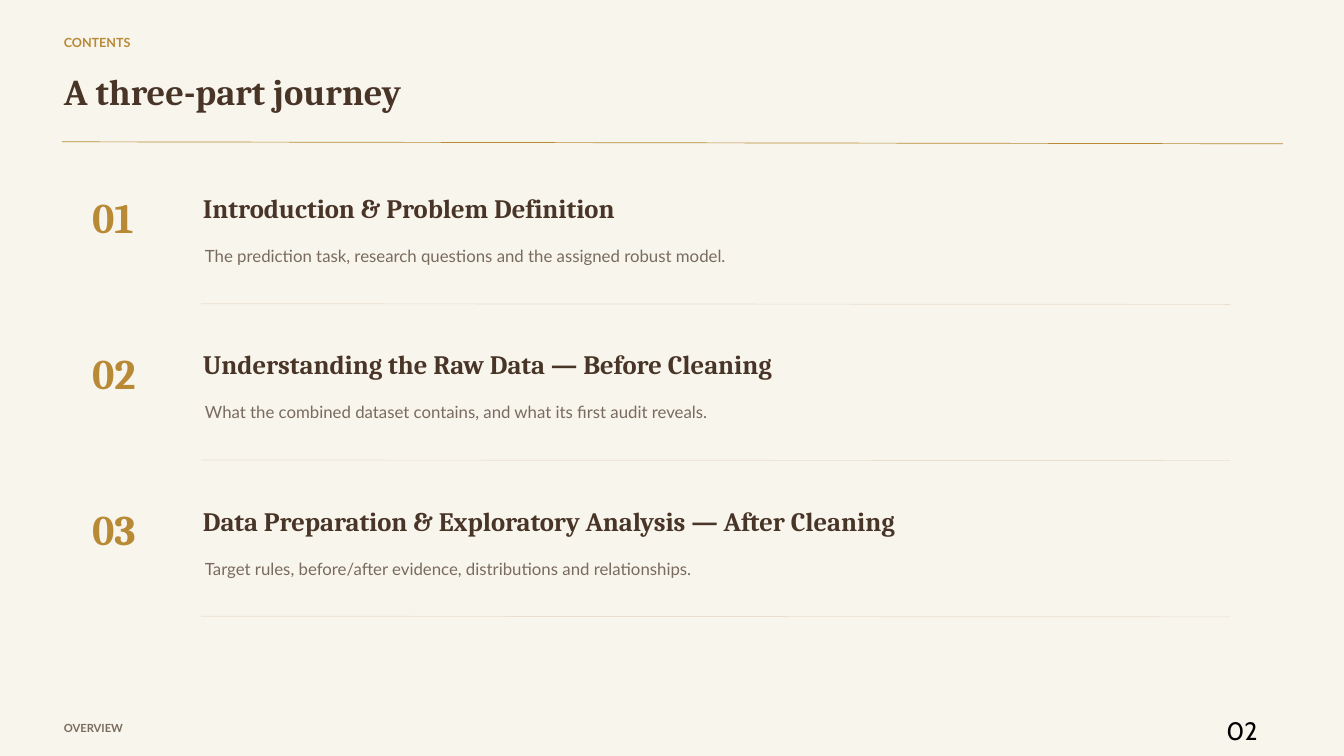
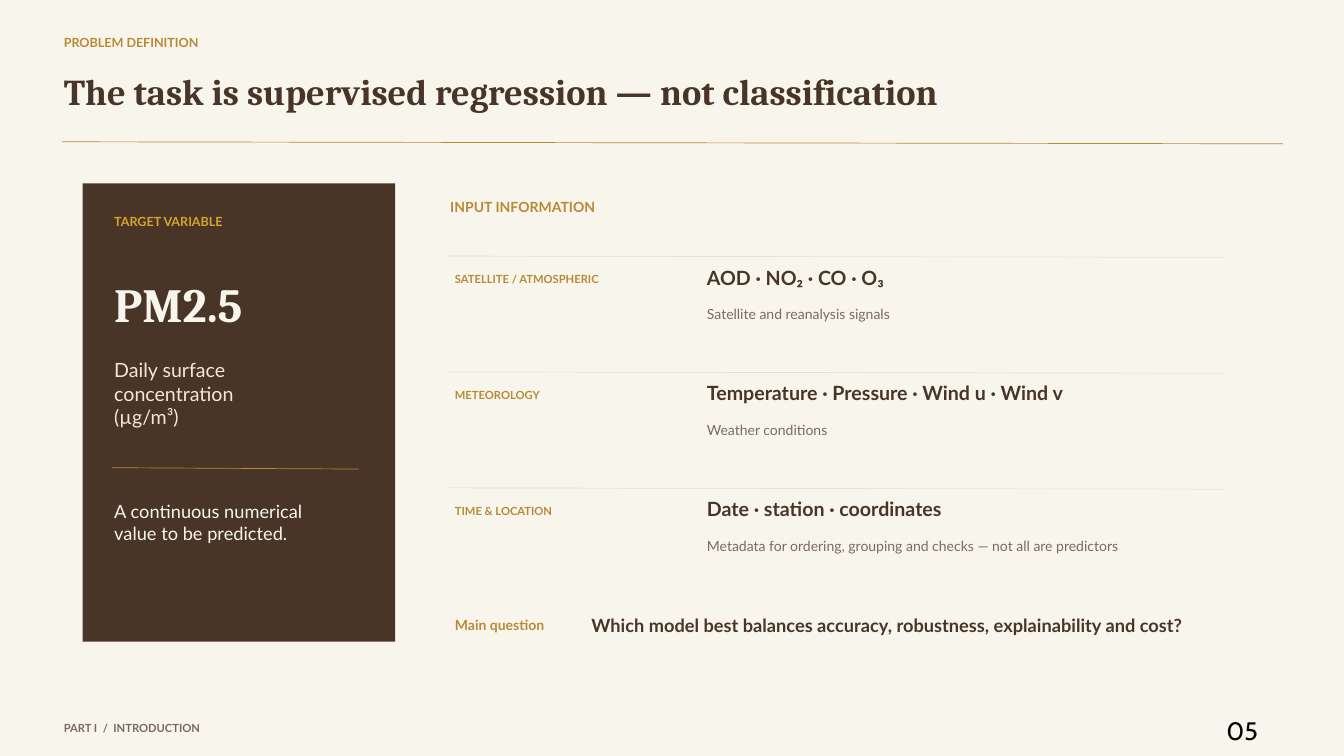
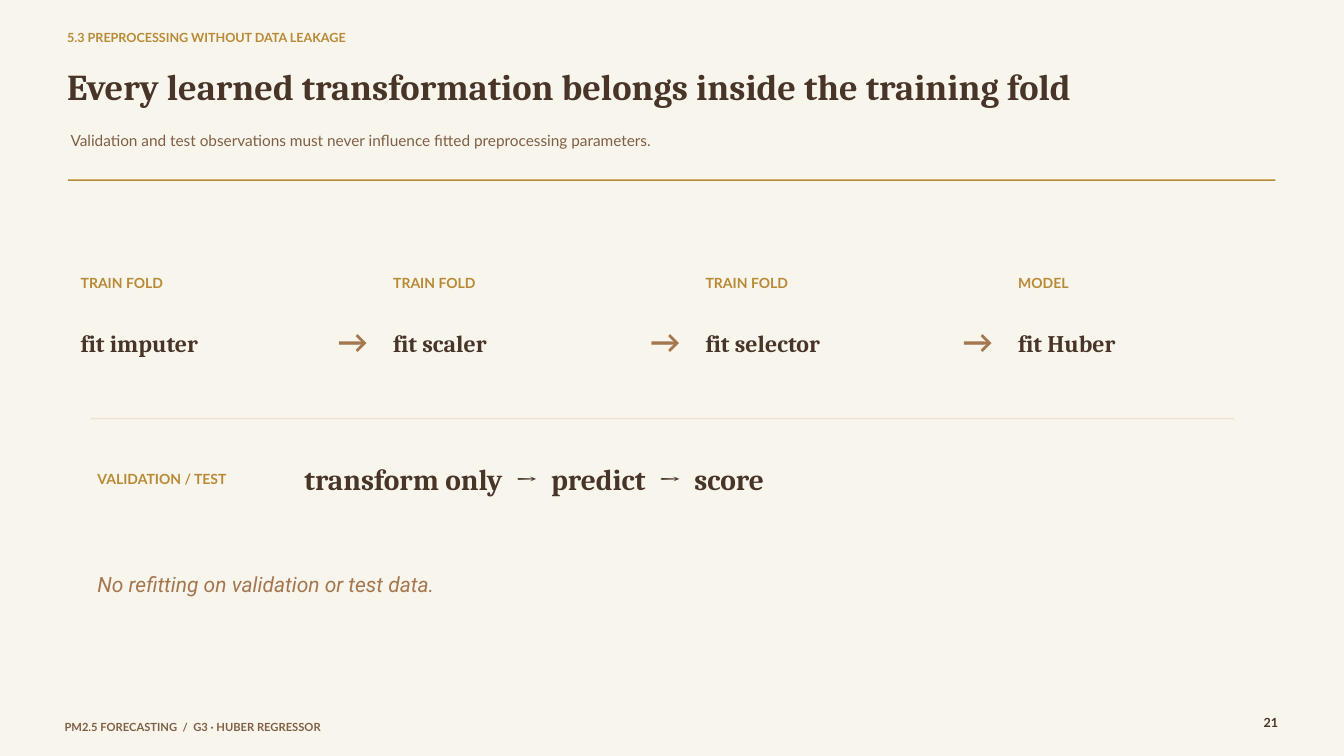
from dataclasses import dataclass
from pptx import Presentation
from pptx import util as u
from pptx.dml.color import RGBColor
from pptx.enum import shapes, text
from pptx.oxml.ns import qn
from lxml import etree


@dataclass(frozen=True)
class Style:
    size: float
    color: str
    font: str = "Lato"
    bold: bool = False
    italic: bool = False


class Theme:
    cream, brown, gold = "F8F5ED", "493528", "B88A36"
    grey, umber, copper = "796B5E", "806044", "A4774F"
    rule, divider = "E9DFCF", "EDE3D2"
    serif = "Cambria"
    leading = 1.2
    hairline = 0.75

    kicker = Style(13.5, gold, bold=True)
    title = Style(39, brown, serif, True)
    footer = Style(12, grey, bold=True)
    page = Style(27, "000000", "Cabin")
    label = Style(15, gold, bold=True)

    part_number = Style(45, gold, serif, True)
    part_title = Style(28.5, brown, serif, True)
    part_note = Style(18, grey)

    target_label = Style(13.5, "D6A52A", bold=True)
    target = Style(51, cream, serif, True)
    target_unit = Style(21, "F1E8D8")
    target_note = Style(19.5, cream)
    input_label = Style(12, gold, bold=True)
    input_name = Style(21, brown, bold=True)
    input_note = Style(15, grey)
    question = Style(19.5, brown, bold=True)

    subtitle = Style(16.5, umber)
    fold_footer = Style(12, umber, bold=True)
    fold_page = Style(13.5, brown, bold=True)
    step = Style(25.5, brown, serif, True)
    arrow = Style(33, copper, bold=True)
    flow = Style(31.5, brown, serif, True)
    warning = Style(22.5, copper, "Roboto", italic=True)


PARTS = [
    ("Introduction & Problem Definition",
     "The prediction task, research questions and the assigned robust model."),
    ("Understanding the Raw Data — Before Cleaning",
     "What the combined dataset contains, and what its first audit reveals."),
    ("Data Preparation & Exploratory Analysis — After Cleaning",
     "Target rules, before/after evidence, distributions and relationships."),
]
INPUTS = [
    ("SATELLITE / ATMOSPHERIC", "AOD · NO₂ · CO · O₃", "Satellite and reanalysis signals"),
    ("METEOROLOGY", "Temperature · Pressure · Wind u · Wind v", "Weather conditions"),
    ("TIME & LOCATION", "Date · station · coordinates",
     "Metadata for ordering, grouping and checks — not all are predictors"),
]
STEPS = [
    ("TRAIN FOLD", "fit imputer"),
    ("TRAIN FOLD", "fit scaler"),
    ("TRAIN FOLD", "fit selector"),
    ("MODEL", "fit Huber"),
]


def rgb(color):
    return RGBColor.from_string(color)


def write(sp, box, style, *lines, align=text.PP_ALIGN.LEFT):
    sp.left, sp.top, sp.width, sp.height = map(u.Inches, box)
    tf = sp.text_frame
    tf.word_wrap = True
    tf.auto_size = text.MSO_AUTO_SIZE.SHAPE_TO_FIT_TEXT
    tf.vertical_anchor = text.MSO_ANCHOR.TOP
    tf.margin_left = tf.margin_top = tf.margin_right = tf.margin_bottom = 0
    for i, line in enumerate(lines):
        p = tf.add_paragraph() if i else tf.paragraphs[0]
        p.alignment = align
        p.line_spacing = u.Pt(style.size * Theme.leading)
        r = p.add_run()
        r.text = line
        r.font.size = u.Pt(style.size)
        r.font.name = style.font
        r.font.bold = style.bold
        r.font.italic = style.italic
        r.font.color.rgb = rgb(style.color)


def add_text(s, box, style, *lines, **options):
    write(s.shapes.add_textbox(0, 0, 0, 0), box, style, *lines, **options)


def add_line(s, x1, y1, x2, y2, color):
    ln = s.shapes.add_connector(shapes.MSO_CONNECTOR.STRAIGHT,
                                *map(u.Inches, (x1, y1, x2, y2)))
    ln.line.color.rgb = rgb(color)
    ln.line.width = u.Pt(Theme.hairline)
    etree.SubElement(ln._element.spPr, qn("a:effectLst"))


def add_block(s, box, color):
    sp = s.shapes.add_shape(shapes.MSO_SHAPE.RECTANGLE, *map(u.Inches, box))
    sp.shadow.inherit = False
    sp.fill.solid()
    sp.fill.fore_color.rgb = rgb(color)
    sp.line.fill.background()


def add_slide(prs, kicker, title, x=0.95, kicker_y=0.52, title_y=1.03):
    s = prs.slides.add_slide(prs.slide_layouts[5])
    add_text(s, (x, kicker_y, 14.94, 0.3), Theme.kicker, kicker)
    write(s.shapes.title, (x, title_y, 17.95, 0.9), Theme.title, title)
    return s


def add_part_slide(prs, kicker, title, footer, page):
    s = add_slide(prs, kicker, title)
    add_line(s, 0.92, 2.11, 19.09, 2.14, Theme.gold)
    add_text(s, (0.95, 10.73, 10.46, 0.23), Theme.footer, footer)
    add_text(s, (18.25, 10.64, 0.71, 0.32), Theme.page, page)
    return s


def build_contents(prs):
    s = add_part_slide(prs, "CONTENTS", "A three-part journey", "OVERVIEW", "02")
    top, pitch = 2.85, 2.325
    for i, (name, note) in enumerate(PARTS):
        y = top + i * pitch
        add_text(s, (1.37, y, 1.31, 0.81), Theme.part_number, f"{i + 1:02}")
        add_text(s, (3.02, y + 0.01, 13.16, 0.64), Theme.part_title, name)
        add_text(s, (3.05, y + 0.81, 14.21, 0.63), Theme.part_note, note)
        add_line(s, 2.99, y + 1.67, 18.31, y + 1.68, Theme.rule)


def build_problem(prs):
    s = add_part_slide(prs, "PROBLEM DEFINITION",
                       "The task is supervised regression — not classification",
                       "PART I  /  INTRODUCTION", "05")
    add_block(s, (1.23, 2.73, 4.65, 6.82), Theme.brown)
    x = 1.7
    add_text(s, (x, 3.19, 3.56, 0.42), Theme.target_label, "TARGET VARIABLE")
    add_text(s, (x, 4.09, 3.71, 1.02), Theme.target, "PM2.5")
    add_text(s, (x, 5.33, 3.48, 1.17), Theme.target_unit,
             "Daily surface concentration", "(µg/m³)")
    add_line(s, 1.67, 6.96, 5.34, 6.98, Theme.gold)
    add_text(s, (x, 7.45, 3.48, 1.46), Theme.target_note,
             "A continuous numerical value to be predicted.")

    add_text(s, (6.7, 2.95, 11.66, 0.44), Theme.label, "INPUT INFORMATION")
    top, pitch = 3.81, 1.725
    for i, (label, name, note) in enumerate(INPUTS):
        y = top + i * pitch
        add_line(s, 6.67, y, 18.23, y + 0.02, Theme.rule)
        add_text(s, (6.77, y + 0.25, 3.56, 0.33), Theme.input_label, label)
        add_text(s, (10.52, y + 0.14, 7.16, 0.45), Theme.input_name, name)
        add_text(s, (10.52, y + 0.74, 7.46, 0.41), Theme.input_note, note)
    add_text(s, (6.77, 9.17, 1.9, 0.48), Theme.label, "Main question")
    add_text(s, (8.8, 9.14, 9.41, 0.71), Theme.question,
             "Which model best balances accuracy, robustness, explainability and cost?")


def build_folds(prs):
    s = add_slide(prs, "5.3 PREPROCESSING WITHOUT DATA LEAKAGE",
                  "Every learned transformation belongs inside the training fold",
                  x=1, kicker_y=0.44, title_y=0.95)
    add_text(s, (1.05, 1.95, 17.64, 0.51), Theme.subtitle,
             "Validation and test observations must never influence fitted "
             "preprocessing parameters.")
    add_block(s, (1.01, 2.67, 17.97, 0.02), Theme.gold)
    add_text(s, (0.96, 10.72, 12.69, 0.21), Theme.fold_footer,
             "PM2.5 FORECASTING  /  G3 · HUBER REGRESSOR")
    add_text(s, (18.48, 10.64, 0.54, 0.25), Theme.fold_page, "21",
             align=text.PP_ALIGN.RIGHT)

    left, pitch = 1.2, 4.65
    for i, (label, step) in enumerate(STEPS):
        x = left + i * pitch
        if i:
            add_text(s, (x - 0.83, 4.8, 0.54, 0.54), Theme.arrow, "→")
        add_text(s, (x, 4.08, 3.61, 0.39), Theme.label, label)
        add_text(s, (x, 4.89, 3.69, 0.62), Theme.step, step)

    add_block(s, (1.35, 6.22, 17.02, 0.02), Theme.divider)
    add_text(s, (1.45, 7, 2.9, 0.39), Theme.label, "VALIDATION / TEST")
    add_text(s, (4.53, 6.86, 11.34, 0.7), Theme.flow,
             "transform only  →  predict  →  score")
    add_text(s, (1.45, 8.5, 10.44, 0.46), Theme.warning,
             "No refitting on validation or test data.")


def main():
    prs = Presentation()
    prs.slide_width, prs.slide_height = u.Inches(20), u.Inches(11.25)
    fill = prs.slide_master.background.fill
    fill.solid()
    fill.fore_color.rgb = rgb(Theme.cream)
    build_contents(prs)
    build_problem(prs)
    build_folds(prs)
    prs.save("out.pptx")


if __name__ == "__main__":
    main()
